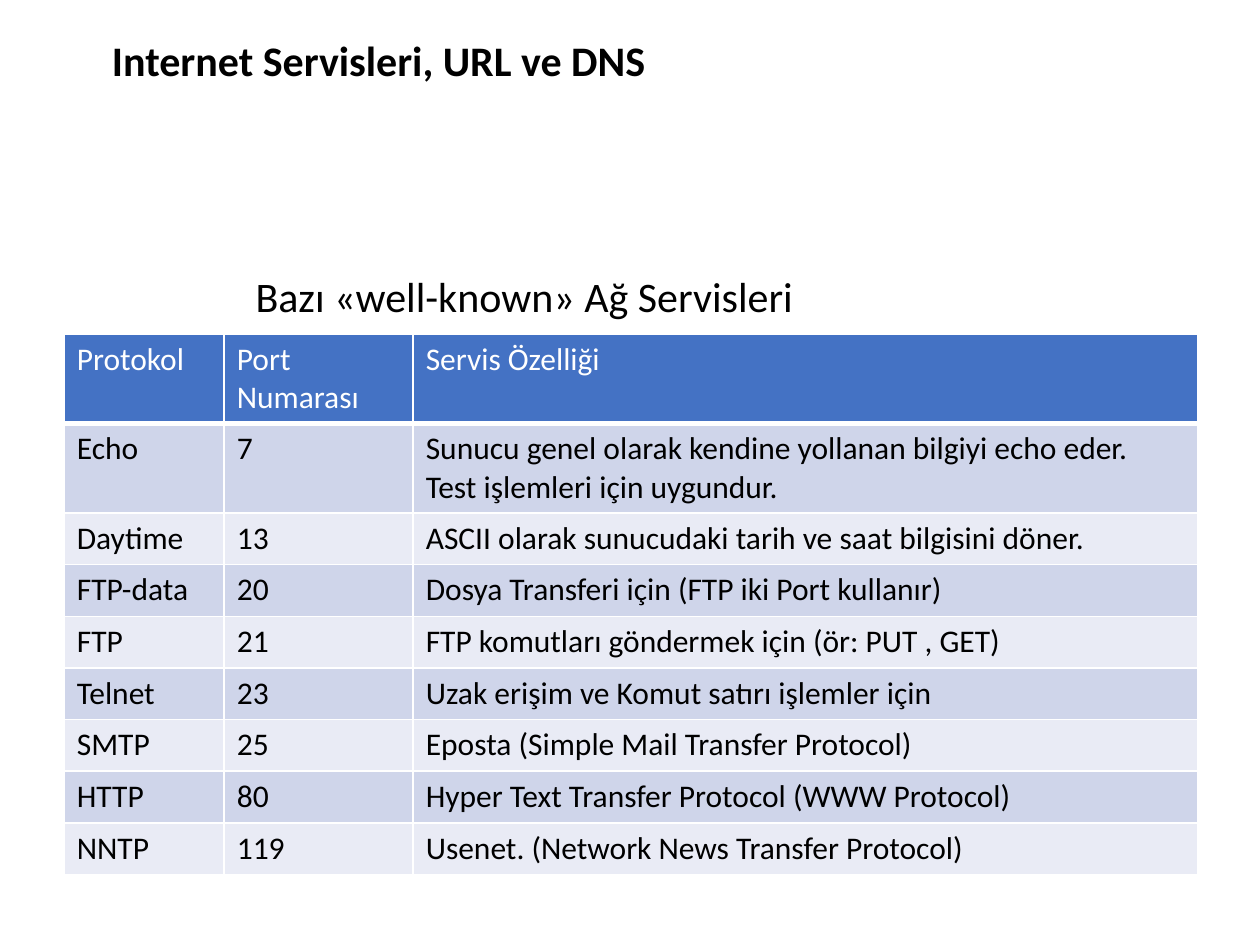
from lxml.etree import SubElement
from pptx import Presentation
from pptx.dml.color import RGBColor
from pptx.enum.text import MSO_ANCHOR, MSO_AUTO_SIZE
from pptx.oxml.ns import qn
from pptx.util import Inches, Pt

BLACK = RGBColor(0x00, 0x00, 0x00)
WHITE = RGBColor(0xFF, 0xFF, 0xFF)
BLUE = RGBColor(0x44, 0x72, 0xC4)
BAND_DARK = RGBColor(0xCF, 0xD5, 0xEA)
BAND_LIGHT = RGBColor(0xE9, 0xEB, 0xF5)


def write(tf, text, size=18, color=BLACK, bold=False, spacing=None, font="Calibri"):
    p = tf.paragraphs[0]
    if spacing:
        p.line_spacing = spacing
    r = p.add_run()
    r.text = text
    r.font.name, r.font.size, r.font.bold = font, Pt(size), bold
    r.font.color.rgb = color


class Deck:
    """Holds the table style and the current slide."""
    header, bands, border = BLUE, (BAND_DARK, BAND_LIGHT), WHITE

    def __init__(self, width, height):
        self.prs = Presentation()
        self.prs.slide_width, self.prs.slide_height = Inches(width), Inches(height)
        self.s = self.prs.slides.add_slide(self.prs.slide_layouts[6])

    def text(self, box, text, wrap=True, anchor=MSO_ANCHOR.TOP, **fmt):
        tf = self.s.shapes.add_textbox(*map(Inches, box)).text_frame
        tf.word_wrap = wrap
        tf.auto_size = MSO_AUTO_SIZE.NONE if wrap else MSO_AUTO_SIZE.SHAPE_TO_FIT_TEXT
        tf.vertical_anchor = anchor
        write(tf, text, **fmt)

    def borders(self, cell, bottom):
        tcPr = cell._tc.get_or_add_tcPr()
        for side, width in (("L", 1), ("R", 1), ("T", 1), ("B", bottom)):
            ln = SubElement(tcPr, qn("a:ln" + side), w=str(Pt(width)))
            fill = SubElement(ln, qn("a:solidFill"))
            SubElement(fill, qn("a:srgbClr"), val=str(self.border))

    def table(self, left, top, widths, row_height, rows):
        shape = self.s.shapes.add_table(
            len(rows), len(widths), Inches(left), Inches(top),
            Inches(sum(widths)), Inches(row_height * len(rows)))
        table = shape.table
        table.first_row = table.horz_banding = False
        for column, width in zip(table.columns, widths):
            column.width = Inches(width)
        for i, row in enumerate(rows):
            table.rows[i].height = Inches(row_height)
            for j, text in enumerate(row):
                cell = table.cell(i, j)
                self.borders(cell, bottom=1 if i else 3)
                cell.fill.solid()
                cell.fill.fore_color.rgb = self.bands[(i - 1) % 2] if i else self.header
                write(cell.text_frame, text, color=BLACK if i else WHITE)


SERVICES = [
    ("Protokol", "Port Numarası", "Servis Özelliği"),
    ("Echo", "7", "Sunucu genel olarak kendine yollanan bilgiyi echo eder. "
                  "Test işlemleri için uygundur."),
    ("Daytime", "13", "ASCII olarak sunucudaki tarih ve saat bilgisini döner."),
    ("FTP-data", "20", "Dosya Transferi için (FTP iki Port kullanır)"),
    ("FTP", "21", "FTP komutları göndermek için (ör: PUT , GET)"),
    ("Telnet", "23", "Uzak erişim ve Komut satırı işlemler için"),
    ("SMTP", "25", "Eposta (Simple Mail Transfer Protocol)"),
    ("HTTP", "80", "Hyper Text Transfer Protocol (WWW Protocol)"),
    ("NNTP", "119", "Usenet. (Network News Transfer Protocol)"),
]

deck = Deck(10, 7.5)

# Title
deck.text((0.79, 0.1, 8.43, 0.79), "Internet Servisleri, URL ve DNS",
          anchor=MSO_ANCHOR.MIDDLE, size=24, bold=True, spacing=0.9)

# Services table and its caption
deck.table(0.51, 2.65, (1.27, 1.5, 6.23), 0.41, SERVICES)
deck.text((1.93, 2.1, 5.07, 0.5), "Bazı «well-known» Ağ Servisleri",
          wrap=False, size=24)

deck.prs.save("out.pptx")
